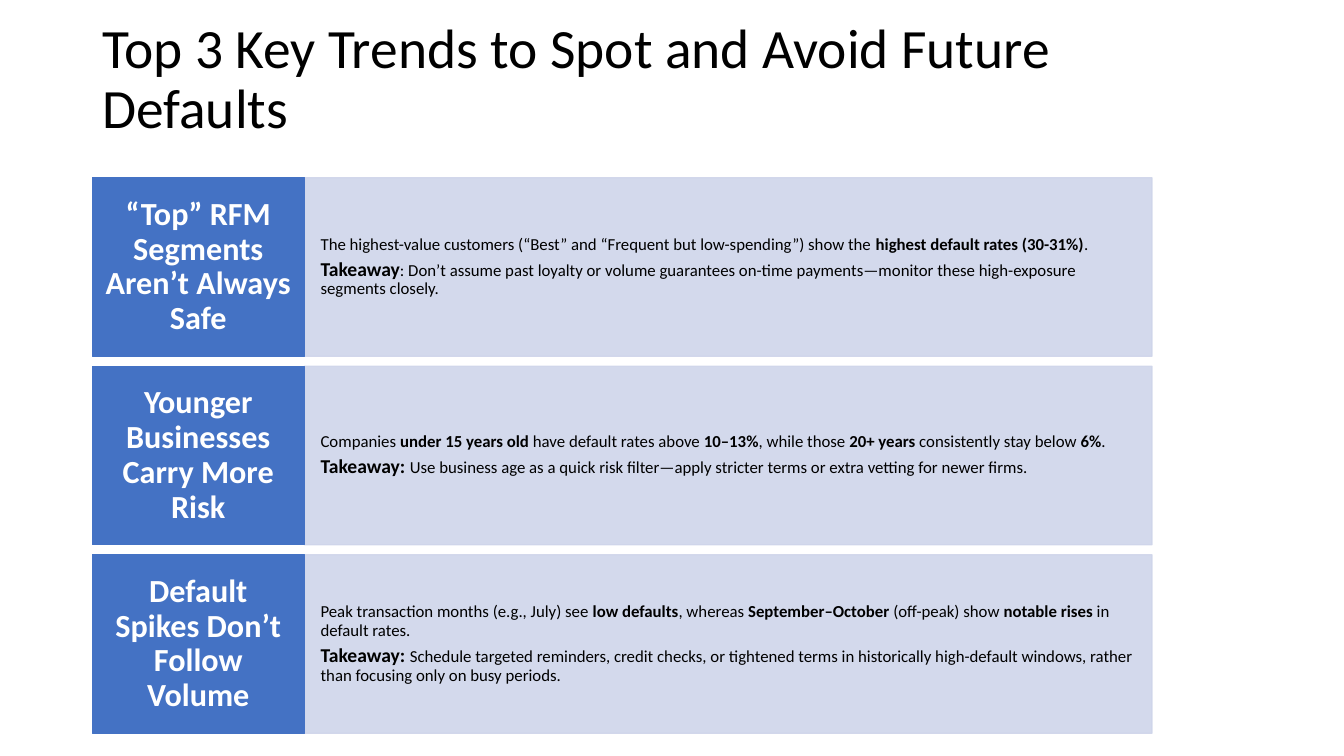
from dataclasses import dataclass

from lxml.etree import SubElement
from pptx import Presentation
from pptx.dml.color import RGBColor
from pptx.enum.shapes import MSO_SHAPE
from pptx.enum.text import MSO_ANCHOR, PP_ALIGN
from pptx.oxml.ns import qn
from pptx.util import Cm, Pt

TITLE = "Top 3 Key Trends to Spot and Avoid Future Defaults"

# Each trend: heading, finding (plain and bold pieces in turn), takeaway (lead-in, advice)
TRENDS = [
    (
        "“Top” RFM Segments Aren’t Always Safe",
        ["The highest-value customers (“Best” and “Frequent but low-spending”) show the ",
         "highest default rates (30-31%)", "."],
        ("Takeaway", ": Don’t assume past loyalty or volume guarantees on-time "
                     "payments—monitor these high-exposure segments closely."),
    ),
    (
        "Younger Businesses Carry More Risk",
        ["Companies ", "under 15 years old", " have default rates above ", "10–13%",
         ", while those ", "20+ years", " consistently stay below ", "6%", "."],
        ("Takeaway: ", "Use business age as a quick risk filter—apply stricter terms "
                       "or extra vetting for newer firms."),
    ),
    (
        "Default Spikes Don’t Follow Volume",
        ["Peak transaction months (e.g., July) see ", "low defaults", ", whereas ",
         "September–October", " (off-peak) show ", "notable rises", " in default rates."],
        ("Takeaway: ", "Schedule targeted reminders, credit checks, or tightened terms in "
                       "historically high-default windows, rather than focusing only on "
                       "busy periods."),
    ),
]


@dataclass(frozen=True)
class Theme:
    font: str = "Calibri"
    ink: RGBColor = RGBColor(0x00, 0x00, 0x00)
    heading_ink: RGBColor = RGBColor(0xFF, 0xFF, 0xFF)
    heading_fill: RGBColor = RGBColor(0x44, 0x72, 0xC4)
    detail_fill: RGBColor = RGBColor(0xCF, 0xD5, 0xEA)
    detail_opacity: int = 90
    title_size: Pt = Pt(39.6)
    heading_size: Pt = Pt(23)
    lead_size: Pt = Pt(14)
    body_size: Pt = Pt(12)
    paragraph_gap: Pt = Pt(4)
    line_spacing: float = 0.9


THEME = Theme()

LEFT = Cm(2.33)
TITLE_TOP, TITLE_WIDTH, TITLE_HEIGHT = Cm(0.53), Cm(29.21), Cm(3.1)
ROWS_TOP, ROW_HEIGHT, ROW_PITCH = Cm(4.48), Cm(4.5), Cm(4.75)
HEADING_WIDTH, DETAIL_WIDTH = Cm(5.34), Cm(21.36)


def set_up_frame(frame, anchor, inset_x, inset_y):
    frame.word_wrap = True
    frame.vertical_anchor = anchor
    frame.margin_left = frame.margin_right = inset_x
    frame.margin_top = frame.margin_bottom = inset_y


def style_paragraph(paragraph, size, color, align=PP_ALIGN.LEFT):
    paragraph.alignment = align
    paragraph.line_spacing = THEME.line_spacing
    paragraph.font.name = THEME.font
    paragraph.font.size = size
    paragraph.font.color.rgb = color


def add_run(paragraph, text, bold, size):
    run = paragraph.add_run()
    run.text = text
    run.font.bold = bold
    run.font.size = size


def add_panel(slide, left, top, width, color, opacity=100):
    panel = slide.shapes.add_shape(MSO_SHAPE.RECTANGLE, left, top, width, ROW_HEIGHT)
    panel.shadow.inherit = False
    panel.fill.solid()
    panel.fill.fore_color.rgb = color
    panel.line.color.rgb = color
    panel.line.width = Pt(1)
    if opacity < 100:
        for tint in panel.element.spPr.iter(qn("a:srgbClr")):
            SubElement(tint, qn("a:alpha"), val=str(opacity * 1000))
    return panel


def add_title(slide):
    title = slide.shapes.add_textbox(LEFT, TITLE_TOP, TITLE_WIDTH, TITLE_HEIGHT).text_frame
    set_up_frame(title, MSO_ANCHOR.TOP, Cm(0.25), Cm(0))
    title.text = TITLE
    style_paragraph(title.paragraphs[0], THEME.title_size, THEME.ink)


def add_trend(slide, top, heading, finding, takeaway):
    detail = add_panel(slide, LEFT + HEADING_WIDTH, top, DETAIL_WIDTH,
                       THEME.detail_fill, THEME.detail_opacity).text_frame
    set_up_frame(detail, MSO_ANCHOR.MIDDLE, Cm(0.41), Cm(1.14))

    finding_line = detail.paragraphs[0]
    style_paragraph(finding_line, THEME.body_size, THEME.ink)
    finding_line.space_after = THEME.paragraph_gap
    for position, piece in enumerate(finding):
        add_run(finding_line, piece, position % 2 == 1, THEME.body_size)

    takeaway_line = detail.add_paragraph()
    style_paragraph(takeaway_line, THEME.body_size, THEME.ink)
    lead, advice = takeaway
    add_run(takeaway_line, lead, True, THEME.lead_size)
    add_run(takeaway_line, advice, False, THEME.body_size)

    label = add_panel(slide, LEFT, top, HEADING_WIDTH, THEME.heading_fill).text_frame
    set_up_frame(label, MSO_ANCHOR.MIDDLE, Cm(0.28), Cm(0.43))
    label.text = heading
    style_paragraph(label.paragraphs[0], THEME.heading_size, THEME.heading_ink,
                    PP_ALIGN.CENTER)
    label.paragraphs[0].font.bold = True


def main():
    deck = Presentation()
    deck.slide_width, deck.slide_height = Cm(33.87), Cm(19.05)
    slide = deck.slides.add_slide(deck.slide_layouts[6])
    add_title(slide)
    for row, trend in enumerate(TRENDS):
        add_trend(slide, ROWS_TOP + row * ROW_PITCH, *trend)
    deck.save("out.pptx")


if __name__ == "__main__":
    main()
